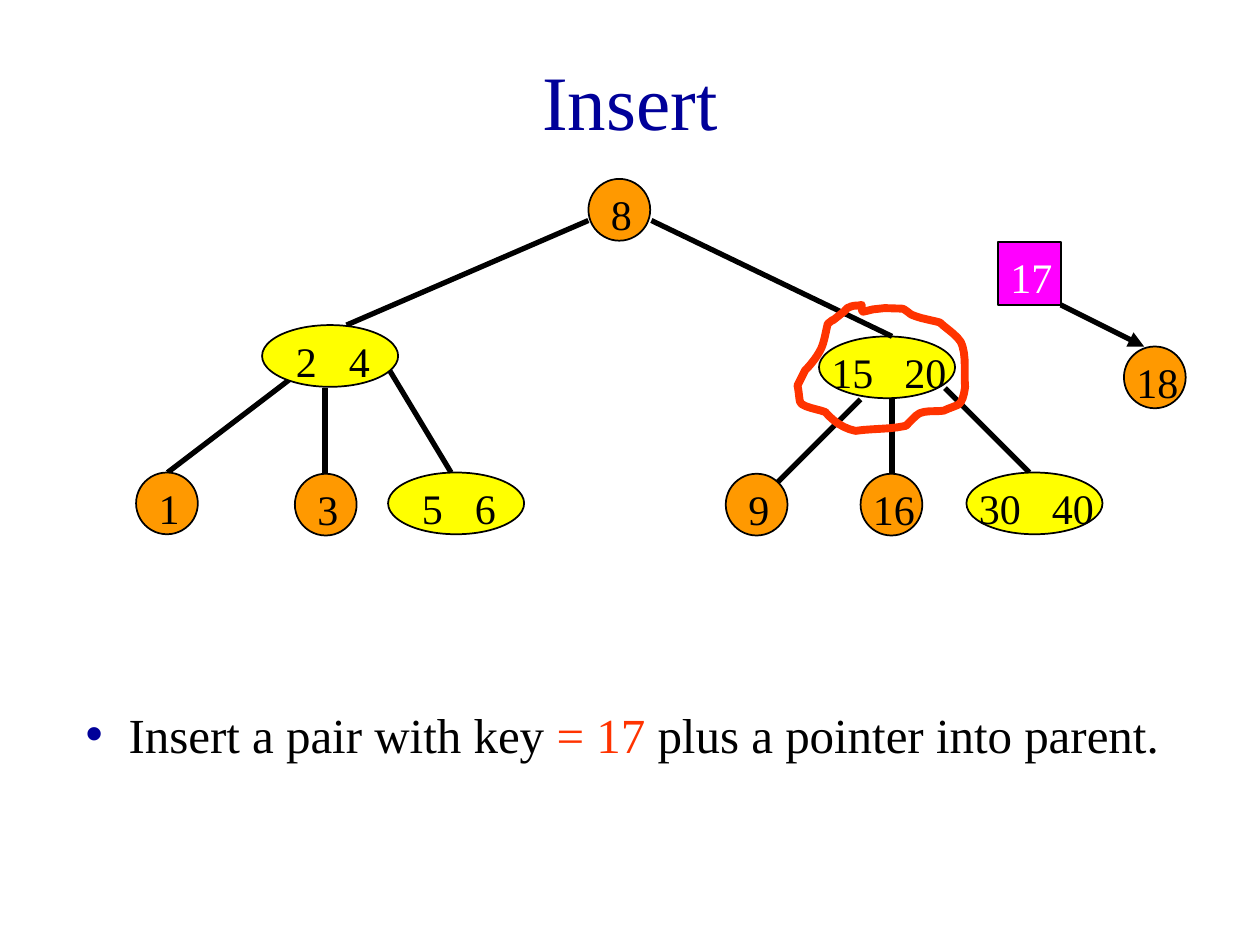
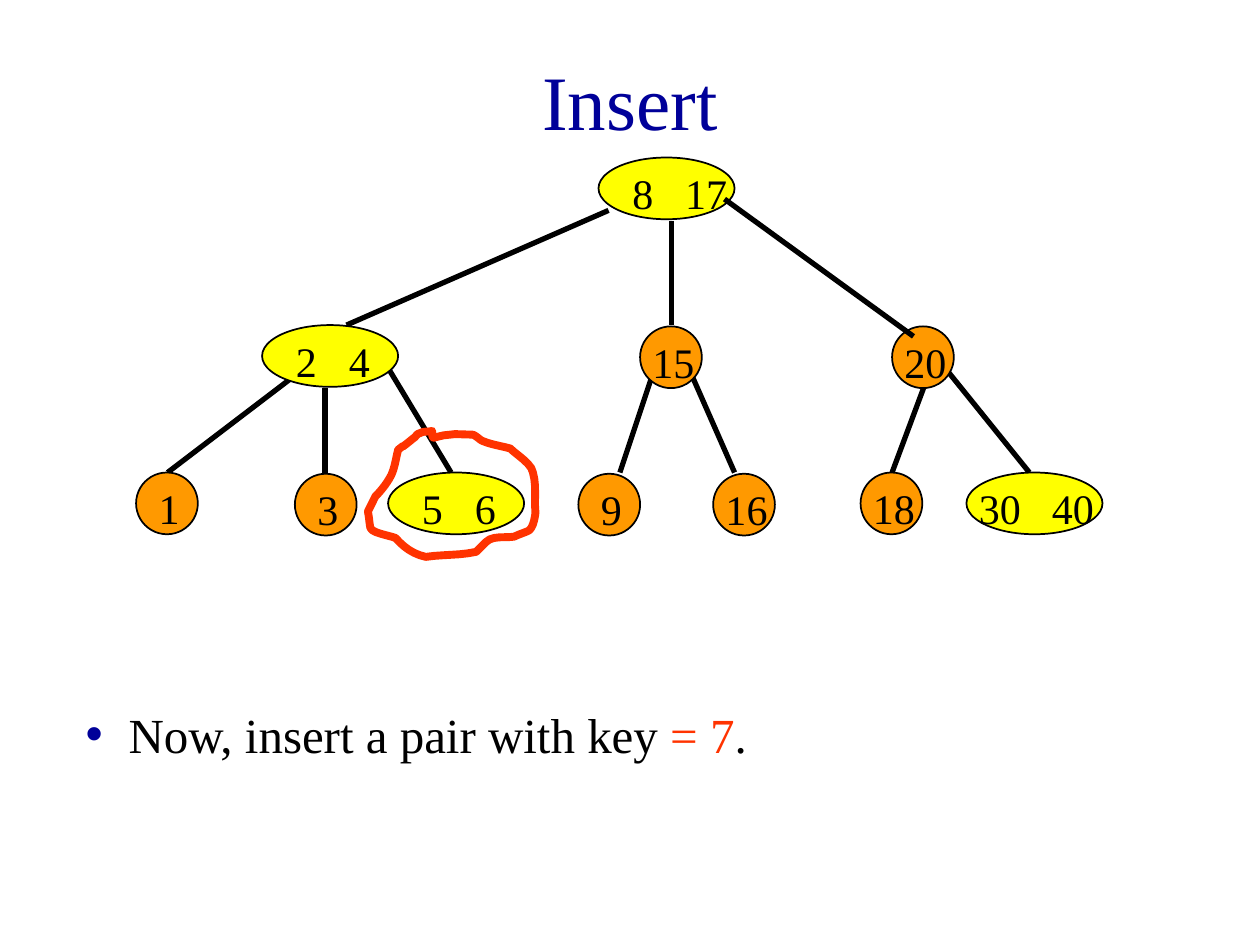
from dataclasses import dataclass

from lxml import etree
from pptx import Presentation
from pptx import util as u
from pptx.dml.color import RGBColor
from pptx.enum import shapes, text
from pptx.oxml.ns import qn

PX = 9144  # 100 px to the inch


@dataclass(frozen=True)
class Theme:
    font: str = "Times New Roman"
    title: str = "000099"
    ink: str = "000000"
    accent: str = "FF3300"
    one_key: str = "FF9900"
    two_keys: str = "FFFF00"
    moving_pair: str = "FF00FF"
    on_pair: str = "FFFFFF"
    title_pt: int = 44
    body_pt: int = 28
    key_pt: int = 24
    outline_pt: float = 1
    edge_pt: float = 3
    ring_pt: float = 4.5


THEME = Theme()
NODE = {1: (49, 49), 2: (108, 49)}  # size by number of keys
TITLE_BOX = (75, 17, 850, 125)
BODY_BOX = (58, 550, 883, 57)
BULLET_INDENT = 34

# Nodes: keys, left, top. Edges: x1, y1, x2, y2.
LEFT_NODES = [((2, 4), 208, 258), ((1,), 108, 375), ((3,), 234, 376), ((5, 6), 308, 375)]
LEFT_EDGES = [(242, 292, 133, 375), (258, 308, 258, 375), (308, 292, 358, 375)]
LAST_LEAF = ((30, 40), 767, 375)

SLIDES = [
    {
        "title": "Insert",
        "body": [("Insert a pair with key ", "ink"), ("= 17 ", "accent"),
                 ("plus a pointer into parent.", "ink")],
        "nodes": LEFT_NODES + [
            ((8,), 467, 142), ((15, 20), 650, 267), ((9,), 576, 376),
            ((16,), 683, 376), LAST_LEAF, ((18,), 892, 275)],
        "edges": LEFT_EDGES + [
            (467, 175, 275, 258), (683, 317, 617, 383),
            (708, 317, 708, 383), (750, 308, 817, 375)],
        "edges_on_top": [(517, 175, 708, 267)],
        "pair": (17, 792, 192, 50),
        "pointer": (842, 242, 908, 275),
        "ring": (633, 242),
    },
    {
        "title": "Insert",
        "body": [("Now, insert a pair with key ", "ink"), ("= 7", "accent"), (".", "ink")],
        "nodes": LEFT_NODES + [
            ((8, 17), 475, 125), ((15,), 508, 259), ((20,), 708, 259),
            ((9,), 459, 376), ((16,), 566, 376), ((18,), 683, 375), LAST_LEAF],
        "edges": LEFT_EDGES + [
            (483, 167, 275, 258), (533, 175, 533, 258), (517, 300, 492, 375),
            (550, 300, 583, 375), (733, 308, 708, 375), (750, 292, 817, 375)],
        "edges_on_top": [(575, 158, 725, 267)],
        "ring": (292, 342),
    },
]

# Hand-drawn ring: start point, then two controls and an end for each curve.
RING_START = (51, 0)
RING_CURVES = [
    ((48, 1), (44, 0), (41, 2)), ((39, 2), (38, 5), (36, 6)),
    ((20, 19), (34, 7), (24, 15)), ((22, 23), (21, 32), (17, 38)),
    ((14, 43), (10, 48), (6, 52)), ((4, 56), (2, 60), (0, 64)),
    ((1, 68), (1, 72), (2, 77)), ((3, 81), (17, 83), (22, 85)),
    ((28, 92), (36, 98), (46, 100)), ((59, 98), (73, 99), (86, 96)),
    ((89, 93), (91, 91), (94, 88)), ((99, 83), (109, 85), (116, 84)),
    ((120, 82), (124, 81), (128, 79)), ((132, 76), (133, 65), (133, 65)),
    ((132, 54), (134, 43), (131, 33)), ((130, 26), (118, 19), (113, 14)),
    ((106, 12), (98, 11), (91, 8)), ((90, 8), (85, 3), (83, 3)),
    ((50, 0), (51, 12), (51, 0)),
]


def emu(*lengths):
    return [u.Emu(round(length * PX)) for length in lengths]


def color(name):
    return RGBColor.from_string(getattr(THEME, name))


def set_line(line, name, width):
    line.color.rgb = color(name)
    line.width = u.Pt(width)


def add_run(paragraph, words, size, name):
    run = paragraph.add_run()
    run.text = words
    for key, value in {"name": THEME.font, "size": u.Pt(size)}.items():
        setattr(run.font, key, value)
    run.font.color.rgb = color(name)


def set_frame(frame, top=5, anchor=text.MSO_ANCHOR.TOP):
    formats = {"margin_left": emu(10)[0], "margin_right": emu(10)[0],
               "margin_top": emu(top)[0], "margin_bottom": emu(5)[0],
               "word_wrap": True, "vertical_anchor": anchor,
               "auto_size": text.MSO_AUTO_SIZE.NONE}
    for key, value in formats.items():
        setattr(frame, key, value)


def place(shape, box):
    for key, value in zip(("left", "top", "width", "height"), emu(*box)):
        setattr(shape, key, value)


def add_heading(slide, words):
    title = slide.shapes.title
    place(title, TITLE_BOX)
    set_frame(title.text_frame, anchor=text.MSO_ANCHOR.MIDDLE)
    paragraph = title.text_frame.paragraphs[0]
    paragraph.alignment = text.PP_ALIGN.CENTER
    add_run(paragraph, words, THEME.title_pt, "title")


def add_body(slide, parts):
    body = slide.placeholders[1]
    place(body, BODY_BOX)
    set_frame(body.text_frame, top=9)
    paragraph = body.text_frame.paragraphs[0]
    paragraph.space_before = u.Pt(0)
    for words, name in parts:
        add_run(paragraph, words, THEME.body_pt, name)
    props = paragraph._p.get_or_add_pPr()
    indent = emu(BULLET_INDENT)[0]
    props.set("marL", str(indent))
    props.set("indent", str(-indent))
    bullet_color = etree.SubElement(props, qn("a:buClr"))
    etree.SubElement(bullet_color, qn("a:srgbClr"), val=THEME.title)
    etree.SubElement(props, qn("a:buChar"), char="•")


def add_outlined(slide, kind, box, fill):
    shape = slide.shapes.add_shape(kind, *emu(*box))
    shape.shadow.inherit = False
    shape.fill.solid()
    shape.fill.fore_color.rgb = color(fill)
    set_line(shape.line, "ink", THEME.outline_pt)


def add_label(slide, keys, left, top, name="ink"):
    """Write the keys of a node, the second one at a tab stop."""
    short = keys[0] < 10
    shift = (8 if len(keys) == 1 else 17) if short else 0
    width = (42 if short else 84) if len(keys) == 1 else (83 if max(keys) < 10 else 150)
    frame = slide.shapes.add_textbox(*emu(left + shift, top, width, 50)).text_frame
    set_frame(frame, top=8)
    paragraph = frame.paragraphs[0]
    add_run(paragraph, "\t".join(map(str, keys)), THEME.key_pt, name)
    if len(keys) > 1:
        tabs = etree.SubElement(paragraph._p.get_or_add_pPr(), qn("a:tabLst"))
        stop = emu(42 if short else 58)[0]
        etree.SubElement(tabs, qn("a:tab"), pos=str(stop), algn="l")


def add_edge(slide, ends, arrow=False):
    edge = slide.shapes.add_connector(shapes.MSO_CONNECTOR.STRAIGHT, *emu(*ends))
    set_line(edge.line, "ink", THEME.edge_pt)
    if arrow:
        etree.SubElement(edge.line._get_or_add_ln(), qn("a:tailEnd"), type="triangle")
    etree.SubElement(edge._element.spPr, qn("a:effectLst"))


def ring_points(steps=6):
    """Sample the ring's cubic curves."""
    start = RING_START
    for first, second, end in RING_CURVES:
        for step in range(1, steps + 1):
            t = step / steps
            s = 1 - t
            yield tuple(s**3 * a + 3 * s * s * t * b + 3 * s * t * t * c + t**3 * d
                        for a, b, c, d in zip(start, first, second, end))
        start = end


def add_ring(slide, left, top):
    points = [emu(left + x, top + y) for x, y in (RING_START, *ring_points())]
    builder = slide.shapes.build_freeform(*points[0], scale=1.0)
    builder.add_line_segments(points[1:], close=True)
    ring = builder.convert_to_shape()
    ring.shadow.inherit = False
    ring.fill.background()
    set_line(ring.line, "accent", THEME.ring_pt)


def add_tree(slide, content):
    for ends in content["edges"]:
        add_edge(slide, ends)
    for keys, left, top in content["nodes"]:
        fill = "one_key" if len(keys) == 1 else "two_keys"
        add_outlined(slide, shapes.MSO_SHAPE.OVAL, (left, top, *NODE[len(keys)]), fill)
    for ends in content["edges_on_top"]:
        add_edge(slide, ends)
    for node in content["nodes"]:
        add_label(slide, *node)
    if "pair" in content:
        key, left, top, side = content["pair"]
        add_outlined(slide, shapes.MSO_SHAPE.RECTANGLE, (left, top, side, side), "moving_pair")
        add_label(slide, (key,), left, top, "on_pair")
        add_edge(slide, content["pointer"], arrow=True)
    add_ring(slide, *content["ring"])


def main():
    deck = Presentation()
    deck.slide_width, deck.slide_height = emu(1000, 750)
    for content in SLIDES:
        slide = deck.slides.add_slide(deck.slide_layouts[1])
        add_heading(slide, content["title"])
        add_body(slide, content["body"])
        add_tree(slide, content)
    deck.save("out.pptx")


if __name__ == "__main__":
    main()
